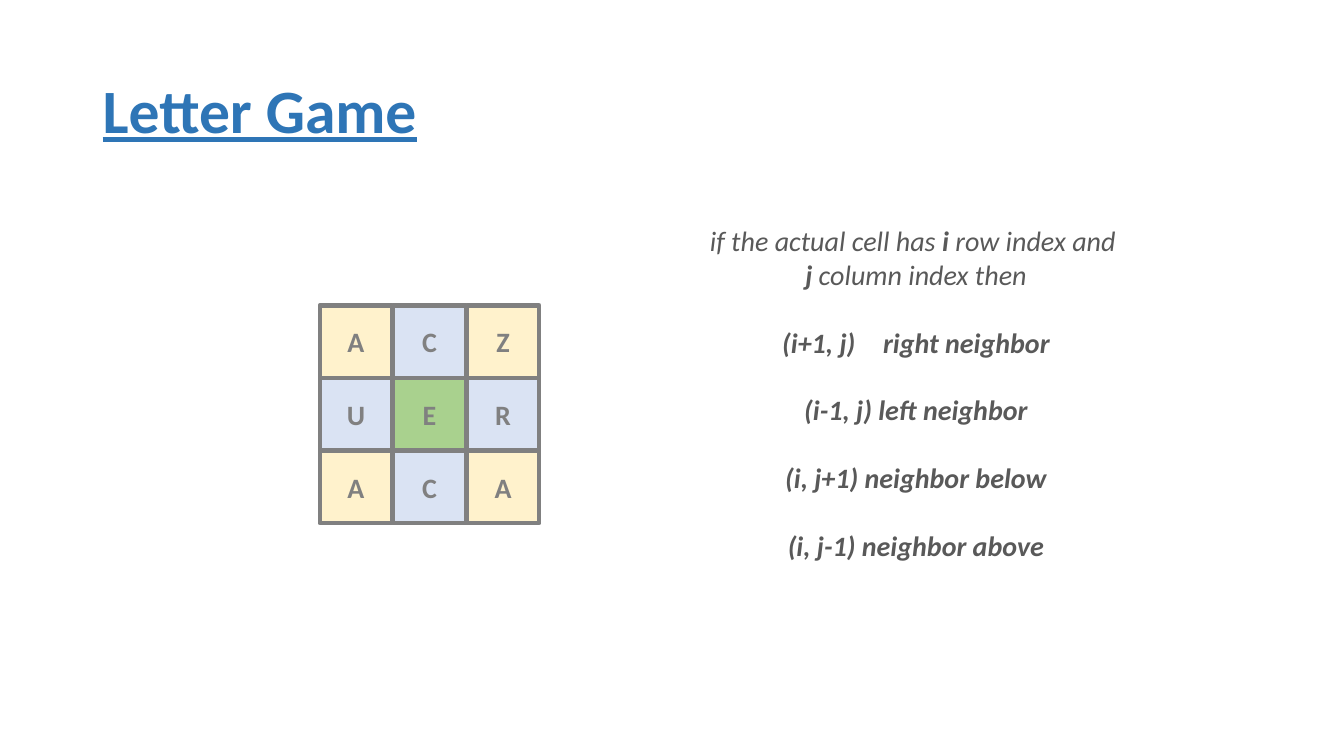
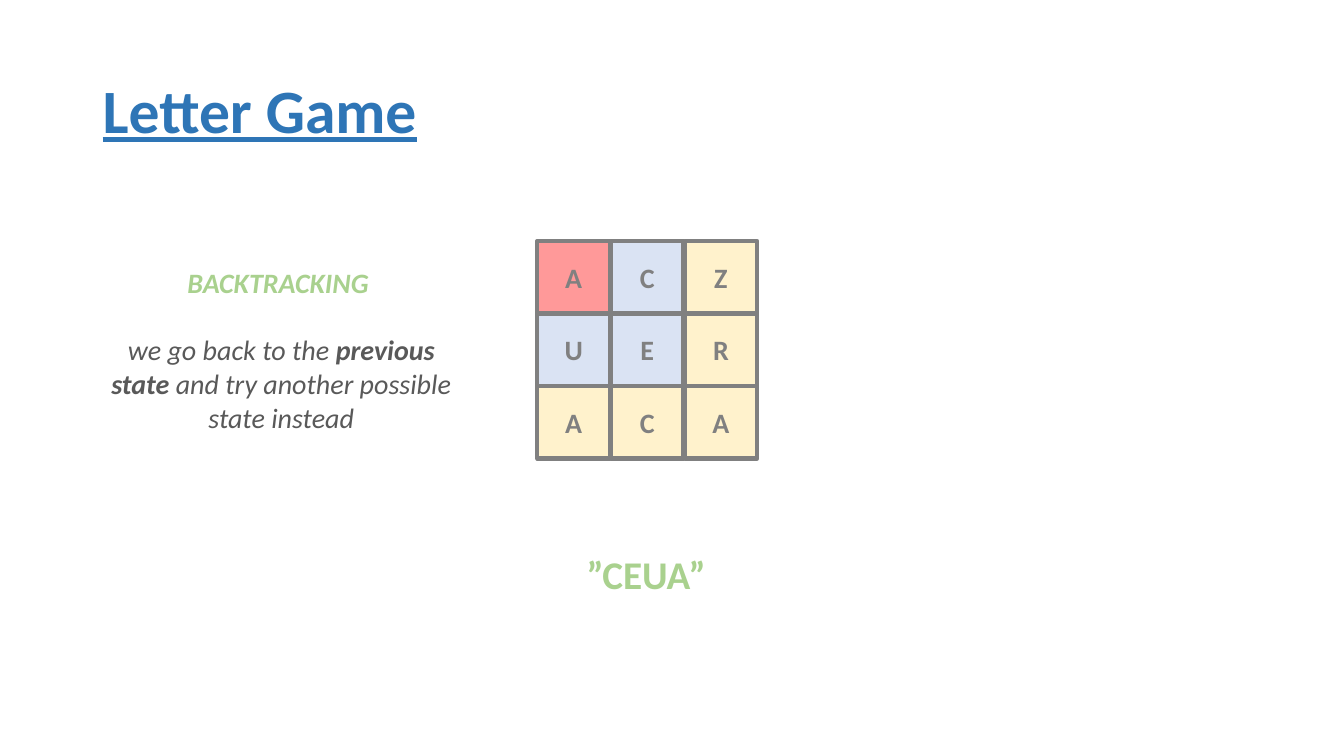
import dataclasses

import pptx
import pptx.dml.color
import pptx.enum.shapes
import pptx.enum.text
import pptx.util

Inches = pptx.util.Inches
Pt = pptx.util.Pt
ALIGN = pptx.enum.text.PP_ALIGN
ANCHOR = pptx.enum.text.MSO_ANCHOR


@dataclasses.dataclass(frozen=True)
class Theme:
    font: str = "Calibri"
    title: str = "2E75B6"
    body: str = "595959"
    accent: str = "A9D18E"
    border: str = "808080"
    unvisited: str = "FFF2CC"
    path_cell: str = "DAE3F3"
    current: str = "A9D18E"
    rejected: str = "FF9999"
    title_size: int = 44
    word_size: int = 28
    body_size: int = 20
    border_width: int = 3
    blank_line: float = 24.4


@dataclasses.dataclass(frozen=True)
class Line:
    runs: tuple
    color: str
    gap: float = 0


THEME = Theme()
BOARD = ("ACZ", "URE"[::2] + "R", "ACA")
BOARD = ("ACZ", "UER", "ACA")
CELL_FILLS = {
    ".": THEME.unvisited,
    "p": THEME.path_cell,
    "c": THEME.current,
    "x": THEME.rejected,
}
CELL_SIZE = 0.72
COLUMN_STEP = 0.73
ROW_STEP = 0.72


def rgb(color):
    return pptx.dml.color.RGBColor.from_string(color)


def style_font(font, size, color, bold=True, italic=False):
    font.name = THEME.font
    font.size = Pt(size)
    font.color.rgb = rgb(color)
    font.bold = bold
    font.italic = italic


def add_text_frame(slide, left, top, width, height, wrap=False):
    box = slide.shapes.add_textbox(
        Inches(left), Inches(top), Inches(width), Inches(height)
    )
    box.text_frame.word_wrap = wrap
    return box.text_frame


def add_title(slide, text):
    frame = add_text_frame(slide, 0.92, 0.4, 11.5, 1.45, wrap=True)
    frame.vertical_anchor = ANCHOR.MIDDLE
    title = frame.paragraphs[0]
    title.text = text
    title.line_spacing = 0.9
    style_font(title.font, THEME.title_size, THEME.title)
    title.font.underline = True


def add_board(slide, left, top, states):
    for row, (letters, row_states) in enumerate(zip(BOARD, states)):
        for column, (letter, state) in enumerate(zip(letters, row_states)):
            cell = slide.shapes.add_shape(
                pptx.enum.shapes.MSO_SHAPE.RECTANGLE,
                Inches(left + column * COLUMN_STEP),
                Inches(top + row * ROW_STEP),
                Inches(CELL_SIZE),
                Inches(CELL_SIZE),
            )
            cell.shadow.inherit = False
            cell.fill.solid()
            cell.fill.fore_color.rgb = rgb(CELL_FILLS[state])
            cell.line.color.rgb = rgb(THEME.border)
            cell.line.width = Pt(THEME.border_width)
            cell.text_frame.vertical_anchor = ANCHOR.MIDDLE
            label = cell.text_frame.paragraphs[0]
            label.text = letter
            label.alignment = ALIGN.CENTER
            style_font(label.font, THEME.body_size, THEME.border)


def add_explanation(slide, left, top, width, height, lines):
    frame = add_text_frame(slide, left, top, width, height)
    for index, line in enumerate(lines):
        paragraph = frame.add_paragraph() if index else frame.paragraphs[0]
        paragraph.alignment = ALIGN.CENTER
        paragraph.space_before = Pt(line.gap)
        base_bold = line.runs[0][1]
        style_font(
            paragraph.font, THEME.body_size, line.color, base_bold, italic=True
        )
        for text, bold in line.runs:
            run = paragraph.add_run()
            run.text = text
            if bold != base_bold:
                run.font.bold = bold


def add_found_word(slide, text):
    frame = add_text_frame(slide, 5.72, 5.41, 1.4, 0.57)
    word = frame.paragraphs[0]
    word.text = text
    style_font(word.font, THEME.word_size, THEME.accent)


def build_neighbors_slide(slide):
    add_board(slide, 3.17, 3.03, (".p.", "pcp", ".p."))
    neighbors = (
        "(i+1, j) \tright neighbor",
        "(i-1, j) left neighbor",
        "(i, j+1) neighbor below",
        "(i, j-1) neighbor above",
    )
    lines = [
        Line(
            (
                ("if the actual cell has ", False),
                ("i", True),
                (" row index and ", False),
            ),
            THEME.body,
        ),
        Line((("j", True), (" column index then", False)), THEME.body),
    ]
    lines += [
        Line(((neighbor, True),), THEME.body, THEME.blank_line)
        for neighbor in neighbors
    ]
    add_explanation(slide, 6.93, 2.17, 4.31, 3.8, lines)


def build_backtracking_slide(slide):
    add_board(slide, 5.33, 2.39, ("xp.", "pp.", "..."))
    add_found_word(slide, "”CEUA”")
    lines = (
        Line((("BACKTRACKING ", True),), THEME.accent),
        Line(
            (("we go back to the ", False), ("previous", True)),
            THEME.body,
            THEME.blank_line,
        ),
        Line((("state", True), (" and try another possible", False)), THEME.body),
        Line((("state instead", False),), THEME.body),
    )
    add_explanation(slide, 0.99, 2.58, 3.6, 1.78, lines)


def main():
    presentation = pptx.Presentation()
    presentation.slide_width = Inches(13.33)
    presentation.slide_height = Inches(7.5)
    blank_layout = presentation.slide_layouts[6]
    for build in (build_neighbors_slide, build_backtracking_slide):
        slide = presentation.slides.add_slide(blank_layout)
        add_title(slide, "Letter Game")
        build(slide)
    presentation.save("out.pptx")


if __name__ == "__main__":
    main()
